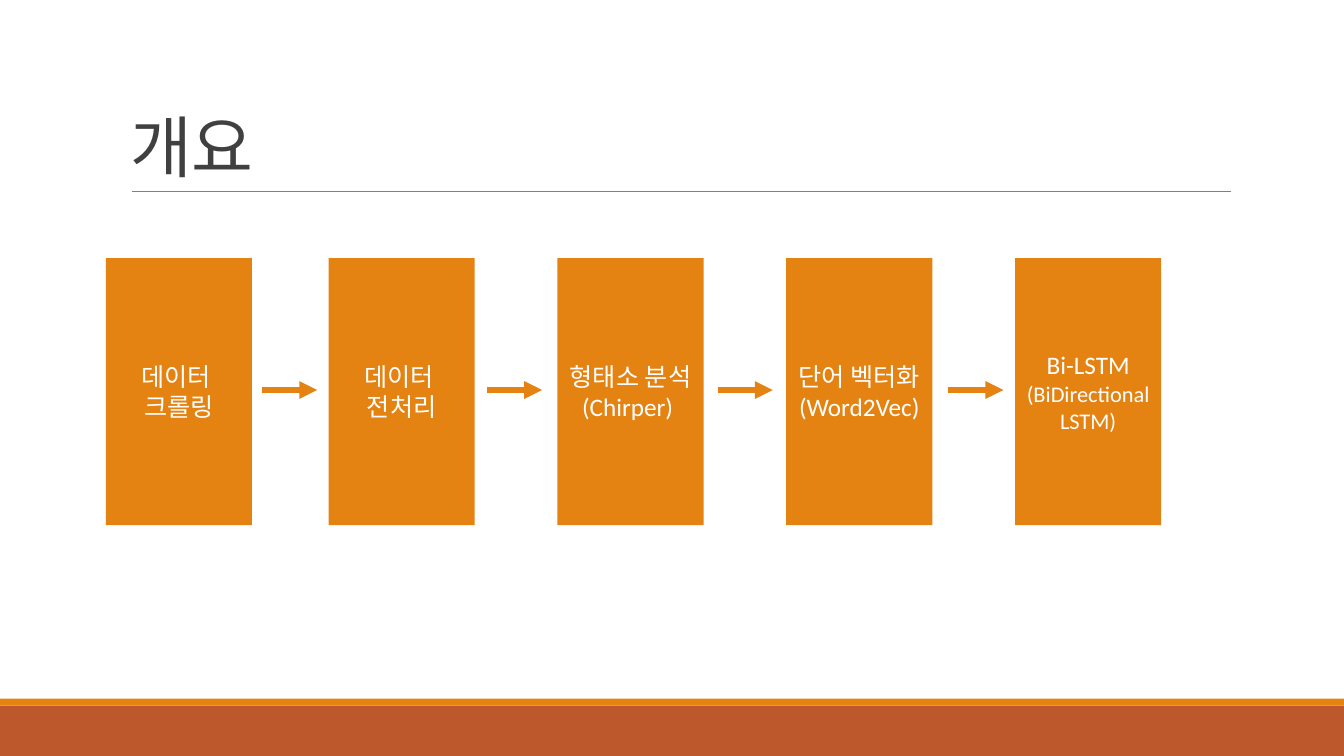
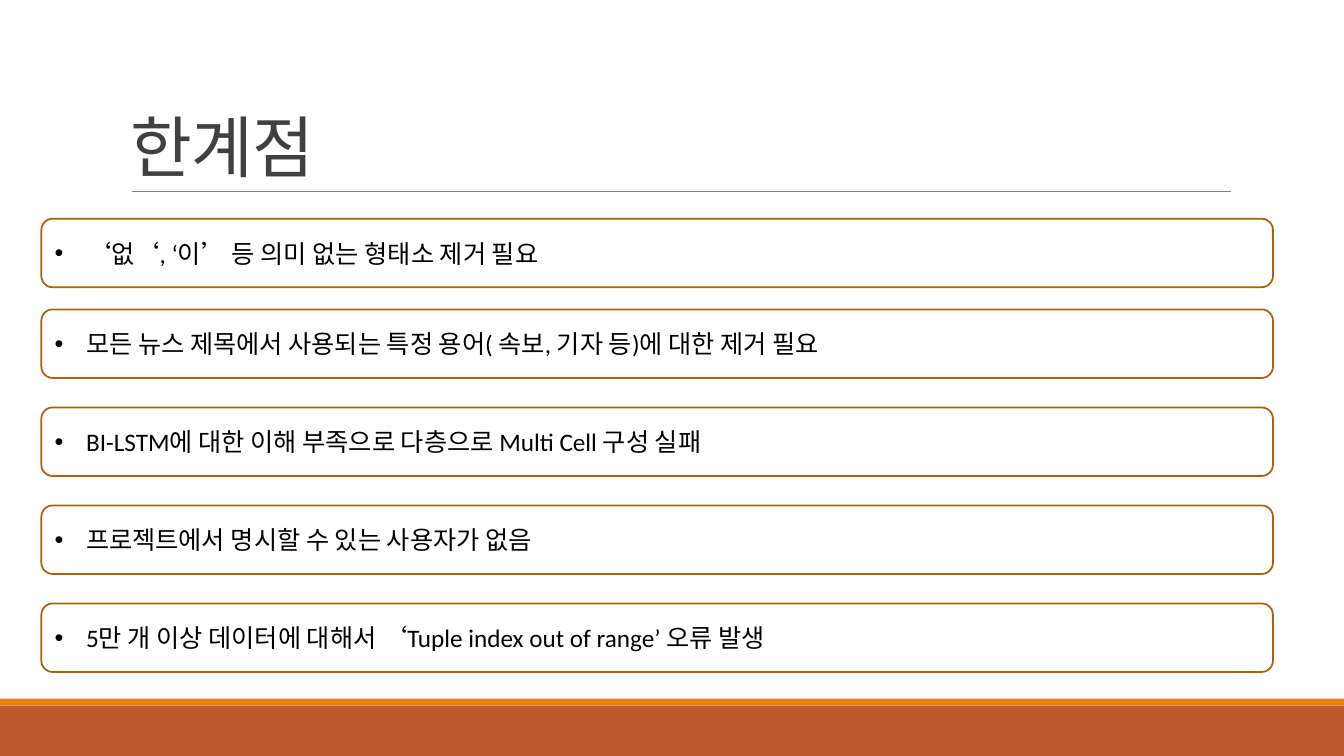
from typing import NamedTuple

from lxml import etree
from pptx import Presentation
from pptx.dml.color import RGBColor
from pptx.enum.shapes import MSO_CONNECTOR, MSO_SHAPE
from pptx.enum.text import MSO_ANCHOR, PP_ALIGN
from pptx.oxml.ns import qn
from pptx.shapes.autoshape import Shape
from pptx.shapes.connector import Connector
from pptx.slide import Slide
from pptx.text.text import _Paragraph as Para
from pptx.util import Pt

RECT, ROUND = MSO_SHAPE.RECTANGLE, MSO_SHAPE.ROUNDED_RECTANGLE
STRAIGHT = MSO_CONNECTOR.STRAIGHT
MIDDLE, BOTTOM = MSO_ANCHOR.MIDDLE, MSO_ANCHOR.BOTTOM
LEFT, CENTER = PP_ALIGN.LEFT, PP_ALIGN.CENTER

ORANGE = RGBColor(0xE4, 0x83, 0x12)
RUST = RGBColor(0xBD, 0x58, 0x2C)
BROWN = RGBColor(0xA9, 0x61, 0x0D)
GRAY = RGBColor(0x80, 0x80, 0x80)
DARK = RGBColor(0x40, 0x40, 0x40)
BLACK = RGBColor(0, 0, 0)
WHITE = RGBColor(0xFF, 0xFF, 0xFF)

FONT = "Calibri"
WIDTH, HEIGHT = 960, 540
BAND_TOP, STRIPE_TOP = 504, 499
STEP_TOP, STEP_WIDTH, STEP_HEIGHT = 184.3, 104.4, 190.8
ARROW_Y, ARROW_WIDTH = 278.6, 39.4
ROW_LEFT, ROW_WIDTH, ROW_HEIGHT = 29.5, 879.8, 49
INDENT = 22.5


class Box(NamedTuple):
    left: float
    top: float
    width: float
    height: float


class Line(NamedTuple):
    text: str
    size: float = 18


class Step(NamedTuple):
    left: float
    lines: list[Line]


class Row(NamedTuple):
    top: float
    text: str


STEP_TWO, STEP_PITCH = 234.7, 163.45
STEPS = [
    Step(75.6, [Line("데이터 "), Line("크롤링")]),
    Step(STEP_TWO, [Line("데이터 "), Line("전처리")]),
    Step(STEP_TWO + STEP_PITCH, [Line("형태소 분석"), Line("(Chirper) ")]),
    Step(STEP_TWO + 2 * STEP_PITCH, [Line("단어 벡터화"), Line("(Word2Vec)")]),
    Step(STEP_TWO + 3 * STEP_PITCH,
         [Line("Bi-LSTM"), Line("(BiDirectional", 16), Line("LSTM)", 16)]),
]
ARROWS = [187.2, 347.8, 512.6, 677.3]

ROW_TWO, ROW_PITCH = 221, 70
ROWS = [
    Row(156.2, "‘없‘, ‘이’ 등 의미 없는 형태소 제거 필요"),
    Row(ROW_TWO, "모든 뉴스 제목에서 사용되는 특정 용어( 속보, 기자 등)에 대한 제거 필요"),
    Row(ROW_TWO + ROW_PITCH, "BI-LSTM에 대한 이해 부족으로 다층으로 Multi Cell 구성 실패"),
    Row(ROW_TWO + 2 * ROW_PITCH, "프로젝트에서 명시할 수 있는 사용자가 없음"),
    Row(ROW_TWO + 3 * ROW_PITCH,
        "5만 개 이상 데이터에 대해서 ‘Tuple index out of range’ 오류 발생"),
]


def add_box(slide: Slide, kind: int, box: Box, fill: RGBColor | None = None,
            edge: RGBColor | None = None) -> Shape:
    shape = slide.shapes.add_shape(kind, *map(Pt, box))
    shape.shadow.inherit = False
    if fill is None:
        shape.fill.background()
    else:
        shape.fill.solid()
        shape.fill.fore_color.rgb = fill
    if edge is None:
        shape.line.fill.background()
    else:
        shape.line.color.rgb = edge
        shape.line.width = Pt(1.25)
    return shape


def add_line(slide: Slide, left: float, right: float, y: float,
             color: RGBColor, weight: float) -> Connector:
    line = slide.shapes.add_connector(STRAIGHT, Pt(left), Pt(y), Pt(right), Pt(y))
    line.line.color.rgb = color
    line.line.width = Pt(weight)
    etree.SubElement(line._element.spPr, qn("a:effectLst"))
    return line


def write(shape: Shape, lines: list[Line], color: RGBColor, align: int,
          anchor: int = MIDDLE) -> list[Para]:
    frame = shape.text_frame
    frame.word_wrap = True
    frame.vertical_anchor = anchor
    frame.text = "\n".join(line.text for line in lines)
    for para, line in zip(frame.paragraphs, lines):
        para.alignment = align
        para.font.name = FONT
        para.font.size = Pt(line.size)
        para.font.color.rgb = color
    return list(frame.paragraphs)


def add_bullet(para: Para) -> None:
    props = para._p.get_or_add_pPr()
    props.set("marL", str(Pt(INDENT)))
    props.set("indent", str(-Pt(INDENT)))
    font = etree.Element(qn("a:buFont"), typeface="Arial")
    mark = etree.Element(qn("a:buChar"), char="•")
    props.insert(0, font)
    props.insert(1, mark)


def add_page(deck: Presentation, title: str) -> Slide:
    """Add a slide with the shared bands, rule and title."""
    slide = deck.slides.add_slide(deck.slide_layouts[6])
    add_box(slide, RECT, Box(0, BAND_TOP, WIDTH, HEIGHT - BAND_TOP), RUST)
    add_box(slide, RECT, Box(0, STRIPE_TOP, WIDTH, 5), ORANGE)
    add_line(slide, 94.3, 879, 136.8, GRAY, 0.5)
    head = slide.shapes.add_textbox(Pt(86.4), Pt(22.3), Pt(792), Pt(114.5))
    para = write(head, [Line(title, 48)], DARK, LEFT, BOTTOM)[0]
    para.line_spacing = 0.85
    para.runs[0]._r.get_or_add_rPr().set("spc", "-50")
    return slide


def add_flow(slide: Slide) -> None:
    for step in STEPS:
        card = add_box(slide, RECT,
                       Box(step.left, STEP_TOP, STEP_WIDTH, STEP_HEIGHT), ORANGE)
        write(card, step.lines, WHITE, CENTER)
    for left in ARROWS:
        arrow = add_line(slide, left, left + ARROW_WIDTH, ARROW_Y, ORANGE, 4.25)
        etree.SubElement(arrow.line._get_or_add_ln(), qn("a:tailEnd"),
                         type="triangle")


def add_rows(slide: Slide) -> None:
    for row in ROWS:
        card = add_box(slide, ROUND,
                       Box(ROW_LEFT, row.top, ROW_WIDTH, ROW_HEIGHT), edge=BROWN)
        add_bullet(write(card, [Line(row.text)], BLACK, LEFT)[0])


def main() -> None:
    deck = Presentation()
    deck.slide_width, deck.slide_height = Pt(WIDTH), Pt(HEIGHT)
    add_flow(add_page(deck, "개요"))
    add_rows(add_page(deck, "한계점"))
    deck.save("out.pptx")


if __name__ == "__main__":
    main()
